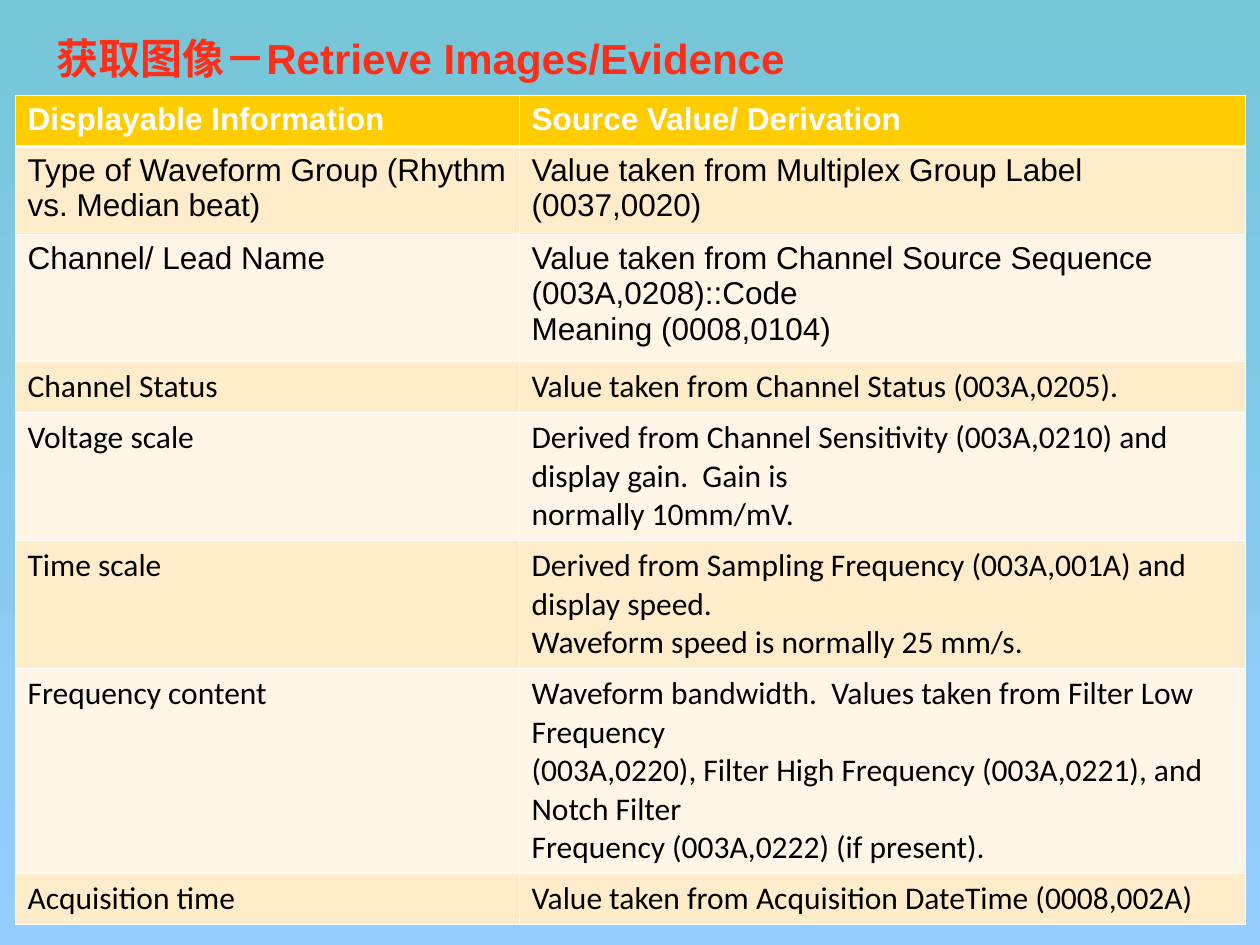
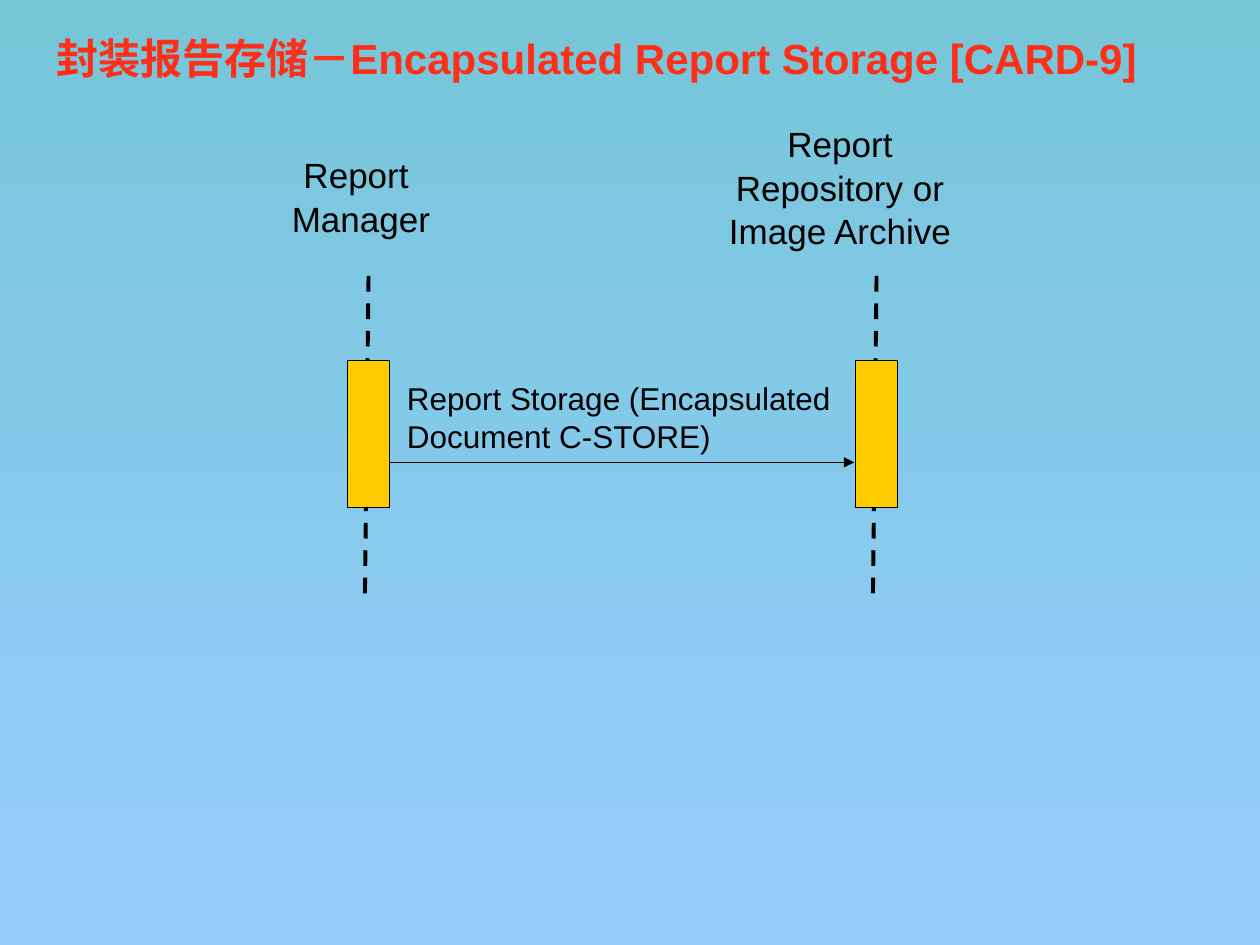
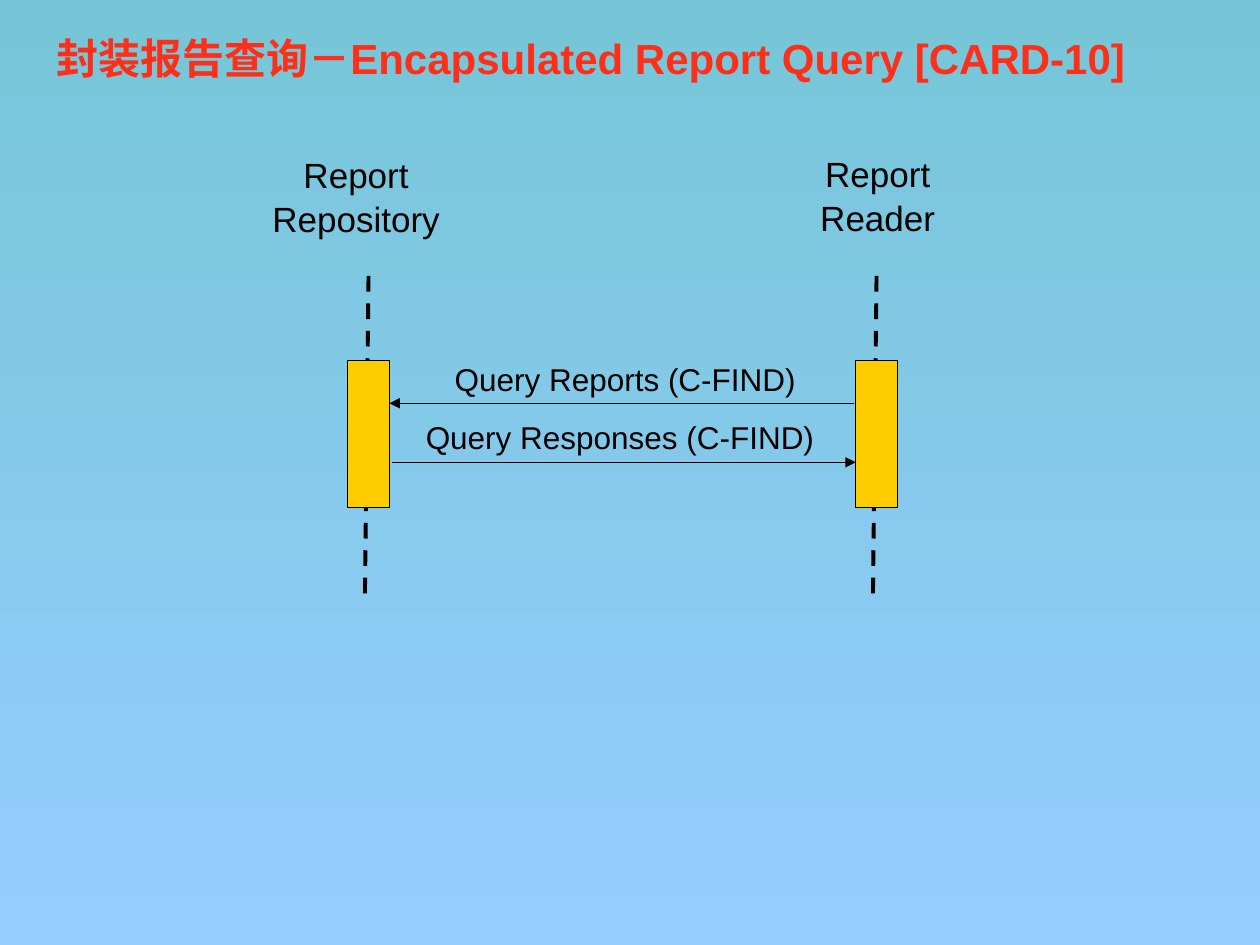
import pptx
import pptx.dml.color
import pptx.enum.dml
import pptx.enum.shapes
import pptx.enum.text
import pptx.oxml.ns
import pptx.util
from lxml import etree

Pt = pptx.util.Pt
ALIGN = pptx.enum.text.PP_ALIGN

COLOURS = {
    "sky_top": "76C6D8",
    "sky_bottom": "96CDFF",
    "title": "FD2F19",
    "gold": "FFCC00",
    "band_dark": "FFECCB",
    "band_light": "FFF6E7",
    "white": "FFFFFF",
    "black": "000000",
}

# Font formats
TITLE = {"name": "Arial", "size": Pt(24), "bold": True}
ACTOR = {"name": "Arial", "size": Pt(20), "bold": False}
MESSAGE = {"name": "Arial", "size": Pt(18), "bold": False}
HEADER = {"name": "Arial", "size": Pt(18), "bold": True}
CALIBRI = {"name": "Calibri", "size": Pt(18), "bold": False}

# Sequence diagram geometry, in points
LEFT_BAR, RIGHT_BAR = 198.7, 489
BAR_WIDTH, BAR_TOP, BAR_HEIGHT = 23.8, 206, 84.2
LIFELINE_TOP, LIFELINE_BOTTOM, LIFELINE_SLANT = 157.7, 343.4, 2.1
LEFT_ACTOR_BOX = (76.3, 83.5, 260, 55.4)

# Attribute table: row height, row font, displayable information, derivation
COLUMN_WIDTHS = (288, 415)
ATTRIBUTES = [
    (29, HEADER, "Displayable Information", "Source Value/ Derivation"),
    (50.4, MESSAGE, "Type of Waveform Group (Rhythm vs. Median beat)",
     "Value taken from Multiplex Group Label (0037,0020)"),
    (72.5, MESSAGE, "Channel/ Lead Name",
     "Value taken from Channel Source Sequence (003A,0208)::Code\n"
     "Meaning (0008,0104)"),
    (29, CALIBRI, "Channel Status",
     "Value taken from Channel Status (003A,0205)."),
    (73, CALIBRI, "Voltage scale",
     "Derived from Channel Sensitivity (003A,0210) and display gain.  Gain is\n"
     "normally 10mm/mV."),
    (73, CALIBRI, "Time scale",
     "Derived from Sampling Frequency (003A,001A) and display speed.\n"
     "Waveform speed is normally 25 mm/s."),
    (117, CALIBRI, "Frequency content",
     "Waveform bandwidth.  Values taken from Filter Low Frequency\n"
     "(003A,0220), Filter High Frequency (003A,0221), and Notch Filter\n"
     "Frequency (003A,0222) (if present)."),
    (29, CALIBRI, "Acquisition time",
     "Value taken from Acquisition DateTime (0008,002A)"),
]


def rgb(colour):
    return pptx.dml.color.RGBColor.from_string(COLOURS[colour])


def points(*lengths):
    return [Pt(length) for length in lengths]


def add_xml(parent, tag, **attributes):
    return etree.SubElement(parent, pptx.oxml.ns.qn(tag), attributes)


def write_text(frame, text, font_format, colour, align=ALIGN.LEFT, spacing=1.0):
    frame.text = text
    for paragraph in frame.paragraphs:
        paragraph.alignment = align
        paragraph.line_spacing = spacing
        for attribute, value in font_format.items():
            setattr(paragraph.runs[0].font, attribute, value)
        paragraph.runs[0].font.color.rgb = rgb(colour)


def paint_background(master):
    fill = master.background.fill
    fill.gradient()
    fill.gradient_angle = 270
    for stop, colour in zip(fill.gradient_stops, ("sky_top", "sky_bottom")):
        stop.color.rgb = rgb(colour)


def add_titled_slide(presentation, text):
    slide = presentation.slides.add_slide(presentation.slide_layouts[5])
    title = slide.shapes.title
    title.left, title.top, title.width, title.height = points(25, 0, 642, 66)
    write_text(title.text_frame, text, TITLE, "title")
    title.text_frame.vertical_anchor = pptx.enum.text.MSO_ANCHOR.MIDDLE
    return slide


# Table
def set_borders(cell, widths):
    properties = cell._tc.get_or_add_tcPr()
    for side, width in widths.items():
        border = add_xml(properties, f"a:ln{side}", w=str(Pt(width)))
        fill = add_xml(border, "a:solidFill")
        add_xml(fill, "a:srgbClr", val=COLOURS["white"])


def add_attribute_table(slide):
    heights = [attribute[0] for attribute in ATTRIBUTES]
    table = slide.shapes.add_table(
        len(ATTRIBUTES), len(COLUMN_WIDTHS),
        *points(8.6, 54.7, sum(COLUMN_WIDTHS), sum(heights))).table
    for column, width in zip(table.columns, COLUMN_WIDTHS):
        column.width = Pt(width)
    for row, (height, font_format, *texts) in enumerate(ATTRIBUTES):
        table.rows[row].height = Pt(height)
        band = "gold" if row == 0 else ("band_light", "band_dark")[row % 2]
        widths = {"L": 0.45, "R": 0.45,
                  "T": 1.47 if row == 1 else 0.45,
                  "B": 1.47 if row == 0 else 0.45}
        for column, text in enumerate(texts):
            cell = table.cell(row, column)
            set_borders(cell, widths)
            cell.fill.solid()
            cell.fill.fore_color.rgb = rgb(band)
            write_text(cell.text_frame, text, font_format,
                       "white" if row == 0 else "black")


# Sequence diagram
def add_label(slide, box, text, font_format, wrap=False, **layout):
    frame = slide.shapes.add_textbox(*points(*box)).text_frame
    write_text(frame, text, font_format, "black", **layout)
    frame.word_wrap = wrap
    frame.auto_size = pptx.enum.text.MSO_AUTO_SIZE.SHAPE_TO_FIT_TEXT


def add_actor(slide, box, text, wrap=False):
    add_label(slide, box, text, ACTOR, wrap, align=ALIGN.CENTER, spacing=1.04)


def add_line(slide, start, end, width):
    line = slide.shapes.add_connector(
        pptx.enum.shapes.MSO_CONNECTOR.STRAIGHT, *points(*start, *end))
    line.line.color.rgb = rgb("black")
    line.line.width = Pt(width)
    add_xml(line._element.spPr, "a:effectLst")
    return line


def add_lifeline(slide, bar_left):
    top_x = bar_left + BAR_WIDTH / 2
    lifeline = add_line(slide, (top_x, LIFELINE_TOP),
                        (top_x - LIFELINE_SLANT, LIFELINE_BOTTOM), 2.25)
    lifeline.line.dash_style = pptx.enum.dml.MSO_LINE.DASH
    bar = slide.shapes.add_shape(
        pptx.enum.shapes.MSO_SHAPE.RECTANGLE,
        *points(bar_left, BAR_TOP, BAR_WIDTH, BAR_HEIGHT))
    bar.shadow.inherit = False
    bar.fill.solid()
    bar.fill.fore_color.rgb = rgb("gold")
    bar.line.color.rgb = rgb("black")
    bar.line.width = Pt(0.75)


def add_message(slide, start_x, end_x, y, box, text):
    arrow = add_line(slide, (start_x, y), (end_x, y), 0.75)
    add_xml(arrow.line._get_or_add_ln(), "a:tailEnd", type="triangle")
    add_label(slide, box, text, MESSAGE)


def add_sequence_slide(presentation, title, left_actor, right_actor, right_box, messages):
    slide = add_titled_slide(presentation, title)
    for bar_left in (LEFT_BAR, RIGHT_BAR):
        add_lifeline(slide, bar_left)
    add_actor(slide, LEFT_ACTOR_BOX, left_actor, wrap=True)
    add_actor(slide, right_box, right_actor)
    for message in messages:
        add_message(slide, *message)


def main():
    presentation = pptx.Presentation()
    presentation.slide_width, presentation.slide_height = points(720, 540)
    paint_background(presentation.slide_master)

    slide = add_titled_slide(presentation, "获取图像－Retrieve Images/Evidence")
    add_attribute_table(slide)

    left_edge, right_edge = LEFT_BAR + BAR_WIDTH, RIGHT_BAR - 0.8
    add_sequence_slide(
        presentation, "封装报告存储－Encapsulated Report Storage [CARD-9]",
        "Report \nManager", "Report \nRepository or \nImage Archive ",
        (409, 65.5, 147.6, 79.2),
        [(left_edge, right_edge, 264.2, (225.4, 213.1, 261.4, 50.4),
          "Report Storage (Encapsulated\nDocument C-STORE)")])
    add_sequence_slide(
        presentation, "封装报告查询－Encapsulated Report Query [CARD-10]",
        "Report \nRepository ", "Report \nReader ",
        (461.5, 82.8, 85.7, 55.4),
        [(right_edge, left_edge, 230.4, (252.7, 202.3, 214.6, 28.8),
          "Query Reports (C-FIND)"),
         (left_edge + 1.4, RIGHT_BAR, 264.2, (236.2, 235.4, 236.2, 28.8),
          "Query Responses (C-FIND)")])

    presentation.save("out.pptx")


if __name__ == "__main__":
    main()
